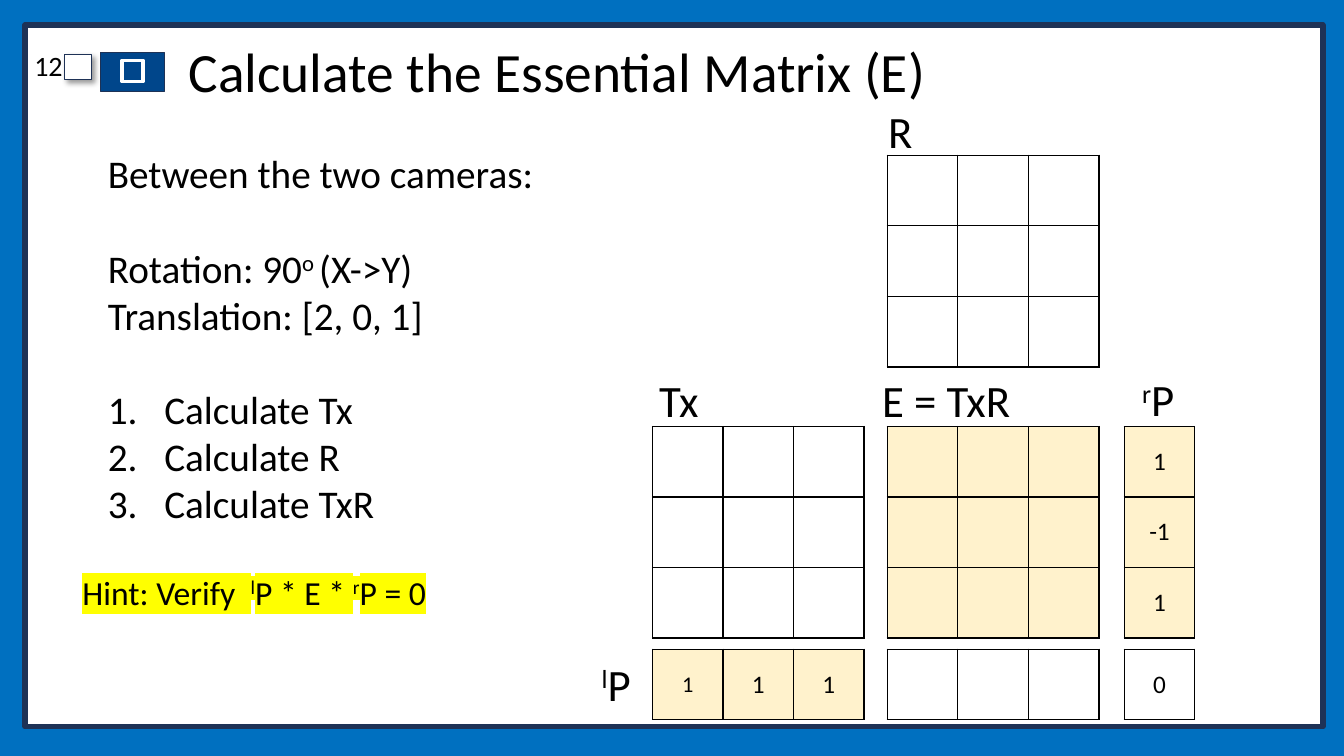
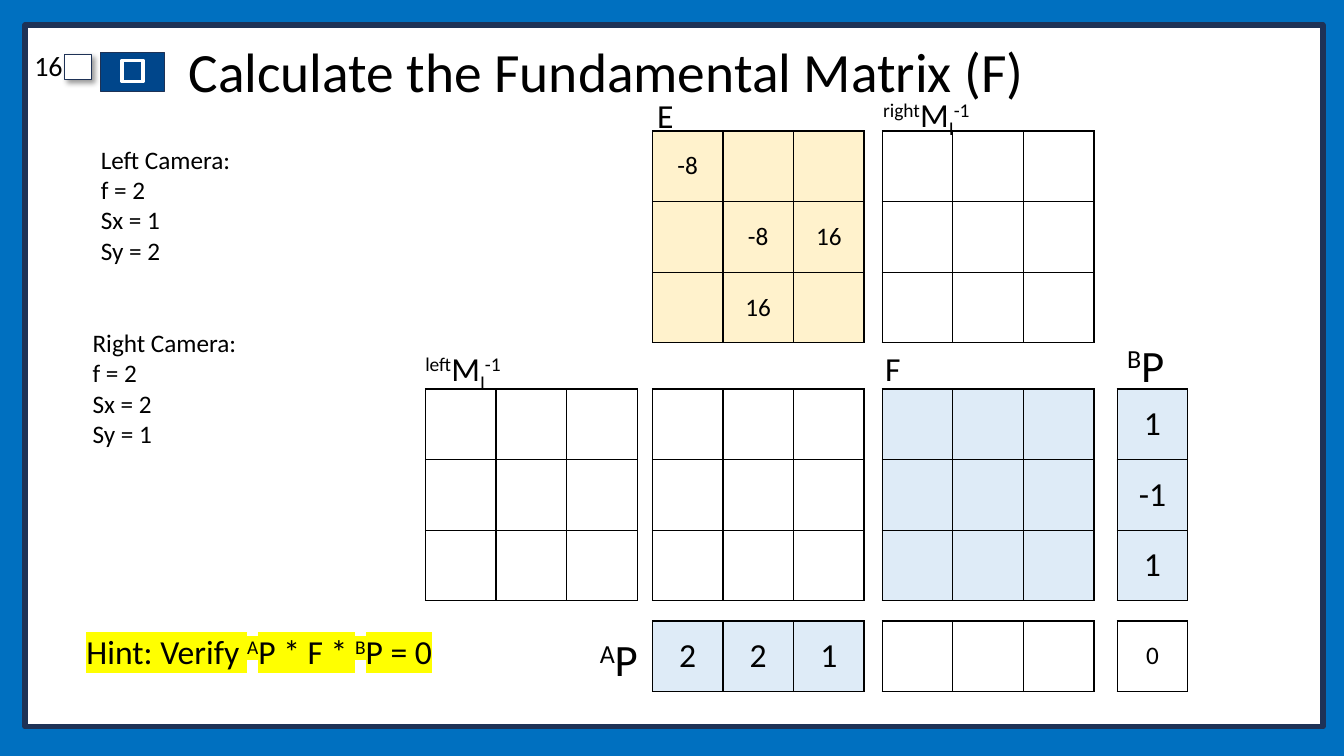
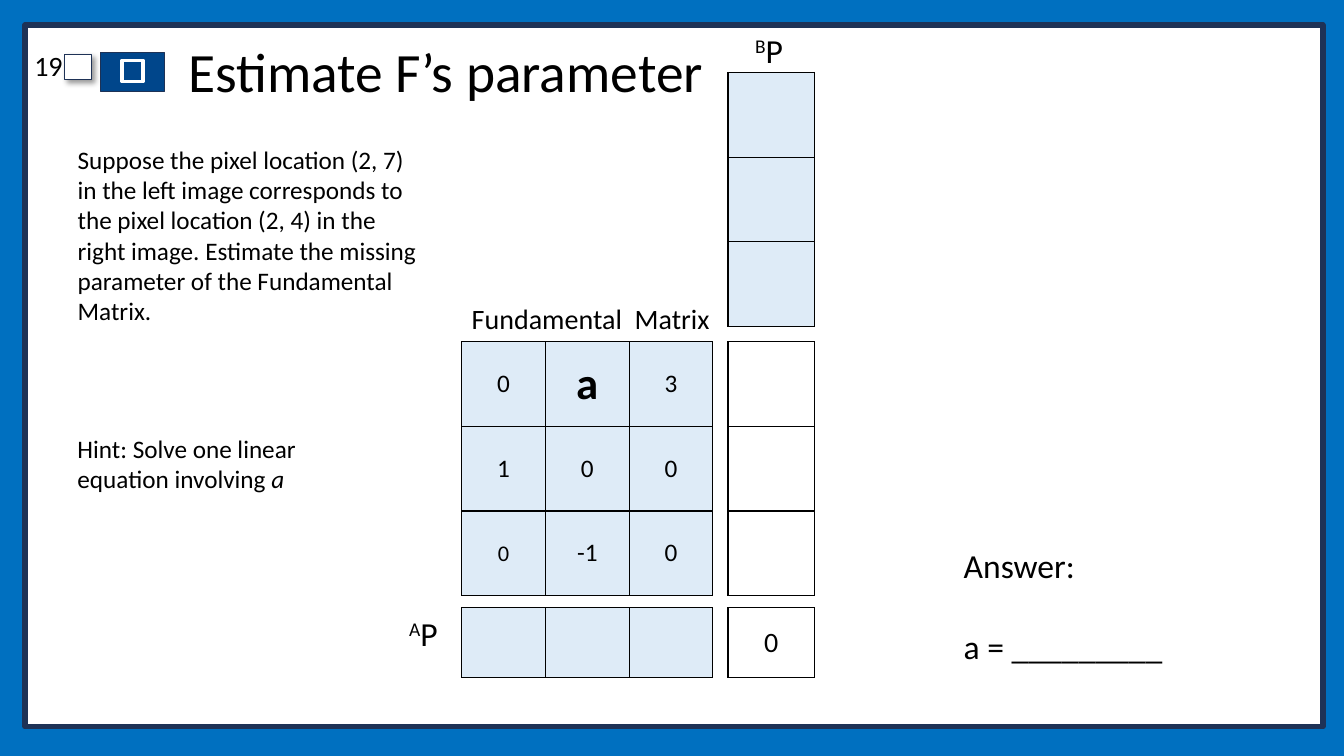
import dataclasses

import pptx
import pptx.dml.color
import pptx.enum.shapes
import pptx.enum.text
import pptx.oxml
import pptx.oxml.ns
import pptx.util

Inches = pptx.util.Inches
Points = pptx.util.Pt
Align = pptx.enum.text.PP_ALIGN
Anchor = pptx.enum.text.MSO_ANCHOR
AutoSize = pptx.enum.text.MSO_AUTO_SIZE
RECTANGLE = pptx.enum.shapes.MSO_SHAPE.RECTANGLE


@dataclasses.dataclass(frozen=True)
class Theme:
    font: str = "Calibri"
    width: float = 13.33
    height: float = 7.5
    backdrop: str = "0070C0"
    paper: str = "FFFFFF"
    navy: str = "1E3256"
    badge: str = "00468B"
    ink: str = "000000"
    cream: str = "FFF2CC"
    sky: str = "DEEBF7"
    marker: str = "FFFF00"
    title: float = 39.6
    symbol: int = 32
    list: int = 28
    large: int = 24
    medium: int = 20
    text: int = 18
    small: int = 16


THEME = Theme()
SUPERSCRIPT, SUBSCRIPT, ITALIC = "30000", "-25000", "italic"


def color(code):
    return pptx.dml.color.RGBColor.from_string(code)


def add_xml(parent, xml):
    """Append one element written in the DrawingML namespace."""
    name, rest = xml[1:].split(" ", 1)
    namespace = pptx.oxml.ns.nsdecls("a")
    parent.append(pptx.oxml.parse_xml(f"<{name} {namespace} {rest}"))


# Text: a paragraph is a string or a list of runs; a run is a string or (string, style)

def write(frame, paragraphs, size=THEME.text, bold=False, align=Align.LEFT,
          spacing=1.0, gaps=(), numbered=(), marker=None):
    """Fill a frame; gaps lists paragraphs set off by a line, numbered those in a list."""
    for index, runs in enumerate(paragraphs):
        paragraph = frame.paragraphs[0] if index == 0 else frame.add_paragraph()
        paragraph.alignment = align
        paragraph.line_spacing = spacing
        paragraph.space_before = Points(round(size * 1.22) if index in gaps else 0)
        properties = paragraph._p.get_or_add_pPr()
        indent = Inches(0.56) if index in numbered else 0
        properties.set("marL", str(indent))
        properties.set("indent", str(-indent))
        if index in numbered:
            add_xml(properties, '<a:buFont typeface="+mj-lt"/>')
            add_xml(properties, '<a:buAutoNum type="arabicPeriod"/>')
        else:
            add_xml(properties, "<a:buNone />")
        for item in [runs] if isinstance(runs, str) else runs:
            text, style = (item, None) if isinstance(item, str) else item
            run = paragraph.add_run()
            run.text = text
            run.font.size = Points(size)
            run.font.bold = bold
            run.font.color.rgb = color(THEME.ink)
            run_properties = run._r.get_or_add_rPr()
            if marker:
                add_xml(run_properties, f'<a:highlight ><a:srgbClr val="{marker}"/></a:highlight>')
            run.font.name = THEME.font
            if style == ITALIC:
                run.font.italic = True
            elif style:
                run_properties.set("baseline", style)


def place(shape, box):
    shape.left, shape.top, shape.width, shape.height = map(Inches, box)


def text_box(slide, box, paragraphs, wrap=False, **formats):
    shape = slide.shapes.add_textbox(*map(Inches, box))
    shape.text_frame.word_wrap = wrap
    shape.text_frame.auto_size = AutoSize.SHAPE_TO_FIT_TEXT
    write(shape.text_frame, paragraphs, **formats)


def body_text(slide, box, paragraphs, inset=True, **formats):
    body = slide.placeholders[1]
    place(body, box)
    frame = body.text_frame
    frame.auto_size = AutoSize.NONE
    frame.vertical_anchor = Anchor.TOP
    if not inset:
        frame.margin_left = frame.margin_top = frame.margin_right = frame.margin_bottom = 0
    write(frame, paragraphs, **formats)


# Shared frame

def rectangle(shapes, box, fill, line, weight):
    shape = shapes.add_shape(RECTANGLE, *map(Inches, box))
    shape.shadow.inherit = False
    shape.fill.solid()
    shape.fill.fore_color.rgb = color(fill)
    shape.line.color.rgb = color(line)
    shape.line.width = Points(weight)
    return shape


def badge(slide, box):
    left, top, width, height = box
    group = slide.shapes.add_group_shape()
    rectangle(group.shapes, box, THEME.badge, THEME.navy, 1)
    inner = (left + width / 3, top + height / 5, width / 3, height * 0.54)
    rectangle(group.shapes, inner, THEME.badge, THEME.paper, 2.5)
    return group


def share_frame(slide):
    """Draw the frame once and hand it to the layout, so that every slide shows it."""
    layout = slide.slide_layout
    fill = layout.slide_master.background.fill
    fill.solid()
    fill.fore_color.rgb = color(THEME.backdrop)
    sheet = rectangle(slide.shapes, (0.25, 0.25, 12.87, 6.96), THEME.paper, THEME.navy, 4)
    mark = badge(slide, (1, 0.52, 0.63, 0.39))
    tab = rectangle(slide.shapes, (0.64, 0.54, 0.27, 0.25), THEME.paper, THEME.navy, 1)
    effects = tab._element.spPr.find(pptx.oxml.ns.qn("a:effectLst"))
    add_xml(effects, f'<a:outerShdw blurRad="{Points(4)}" dist="{Points(3)}" dir="2700000" '
                     'algn="tl" rotWithShape="0"><a:srgbClr val="000000">'
                     '<a:alpha val="40000"/></a:srgbClr></a:outerShdw>')
    tree = layout.shapes._spTree
    for position, shape in enumerate((sheet, mark, tab), start=2):
        tree.insert(position, shape._element)
    for number, properties in enumerate(tree.xpath(".//p:cNvPr"), start=1):
        properties.set("id", str(number))
    place(layout.placeholders[0], (1.77, 0.4, 10.65, 0.68))


def heading(slide, number, title):
    text_box(slide, (0, 0.47, 0.72, 0.45), [number], wrap=True,
             size=THEME.medium, align=Align.RIGHT, spacing=0.9)
    frame = slide.shapes.title.text_frame
    frame.auto_size = AutoSize.NONE
    frame.vertical_anchor = Anchor.MIDDLE
    write(frame, [title], size=THEME.title, spacing=0.9)


# Matrices

def blank(rows, columns):
    return [[""] * columns for _ in range(rows)]


@dataclasses.dataclass
class Board:
    """A grid of matrices: left edges and cell widths by column, tops and cell heights by row."""
    slide: object
    lefts: tuple
    tops: tuple
    widths: tuple = (0.7,) * 4
    heights: tuple = (0.7,) * 3

    def matrix(self, column, row, values, fill=None, size=THEME.text, special=None):
        width, height = self.widths[column], self.heights[row]
        rows, columns = len(values), len(values[0])
        box = (self.lefts[column], self.tops[row], width * columns, height * rows)
        table = self.slide.shapes.add_table(rows, columns, *map(Inches, box)).table
        table.first_row = table.horz_banding = False
        for table_column in table.columns:
            table_column.width = Inches(width)
        for table_row in table.rows:
            table_row.height = Inches(height)
        for y, line in enumerate(values):
            for x, value in enumerate(line):
                formats = {"size": size, **(special or {}).get((y, x), {})}
                self.fill_cell(table.cell(y, x), value, fill, formats)

    def fill_cell(self, cell, value, fill, formats):
        cell.vertical_anchor = Anchor.MIDDLE
        for side in ("lnL", "lnR", "lnT", "lnB"):
            add_xml(cell._tc.get_or_add_tcPr(),
                    f'<a:{side} w="{Points(1)}"><a:solidFill><a:srgbClr val="{THEME.ink}"/>'
                    f"</a:solidFill></a:{side}>")
        if fill:
            cell.fill.solid()
            cell.fill.fore_color.rgb = color(fill)
        else:
            cell.fill.background()
        if value:
            write(cell.text_frame, [value], align=Align.CENTER, **formats)

    def label(self, column, row, runs, offset, width, size):
        """Put a caption at an offset from the corner of a grid place."""
        box = (self.lefts[column] + offset[0], self.tops[row] + offset[1],
               width, size / 60 + 0.1)
        text_box(self.slide, box, [runs], size=size)


def point(name):
    return [(name, SUPERSCRIPT), "P"]


def inverse(side):
    return [(side, SUPERSCRIPT), "M", ("I", SUBSCRIPT), ("-1", SUPERSCRIPT)]


def hint(slide, box, lead, left, matrix, right):
    runs = [lead, (left, SUPERSCRIPT), f"P * {matrix} * ", (right, SUPERSCRIPT), "P = 0"]
    text_box(slide, box, [runs], wrap=True, size=THEME.large, marker=THEME.marker)


# Slides

def essential_slide(slide):
    heading(slide, "12", "Calculate the Essential Matrix (E)")
    body_text(slide, (1.07, 1.48, 4.26, 3.77), [
        "Between the two cameras:",
        ["Rotation: 90", ("o ", SUPERSCRIPT), "(X->Y)"],
        "Translation: [2, 0, 1]",
        "Calculate Tx", "Calculate R", "Calculate TxR",
    ], inset=False, size=THEME.list, gaps=(1, 3), numbered=(3, 4, 5))

    board = Board(slide, lefts=(6.47, 8.8, 11.15), tops=(1.54, 4.23, 6.44))
    board.matrix(1, 0, blank(3, 3))
    board.matrix(0, 1, blank(3, 3))
    board.matrix(1, 1, blank(3, 3), THEME.cream)
    board.matrix(2, 1, [["1"], ["-1"], ["1"]], THEME.cream)
    board.matrix(0, 2, [["1", "1", "1"]], THEME.cream, special={(0, 0): {"size": THEME.small}})
    board.matrix(1, 2, blank(1, 3))
    board.matrix(2, 2, [["0"]])
    for column, row, runs, offset, width in (
            (1, 0, "R", (-0.09, -0.56), 0.45),
            (0, 1, "Tx", (-0.03, -0.58), 0.6),
            (1, 1, "E = TxR", (-0.15, -0.58), 1.49),
            (2, 1, point("r"), (0.08, -0.59), 0.54),
            (0, 2, point("l"), (-0.6, 0.03), 0.5)):
        board.label(column, row, runs, offset, width, THEME.symbol)
    hint(slide, (0.72, 5.62, 4.03, 0.5), "Hint: Verify  ", "l", "E", "r")


def camera(side, sx, sy):
    return [f"{side} Camera:", "f = 2", f"Sx = {sx}", f"Sy = {sy}"]


def fundamental_slide(slide):
    heading(slide, "16", "Calculate the Fundamental Matrix (F)")
    body_text(slide, (0.9, 1.38, 1.51, 1.31), camera("Left", 1, 2))
    text_box(slide, (0.82, 3.2, 1.64, 1.31), camera("Right", 2, 1))

    board = Board(slide, lefts=(4.22, 6.47, 8.75, 11.08), tops=(1.3, 3.86, 6.16))
    board.matrix(1, 0, [["-8", "", ""], ["", "-8", "16"], ["", "16", ""]], THEME.cream)
    board.matrix(2, 0, blank(3, 3))
    board.matrix(0, 1, blank(3, 3))
    board.matrix(1, 1, blank(3, 3))
    board.matrix(2, 1, blank(3, 3), THEME.sky)
    board.matrix(3, 1, [["1"], ["-1"], ["1"]], THEME.sky, THEME.large)
    board.matrix(1, 2, [["2", "2", "1"]], THEME.sky, THEME.large)
    board.matrix(2, 2, blank(1, 3))
    board.matrix(3, 2, [["0"]])
    for column, row, runs, offset, width, size in (
            (1, 0, "E", (-0.05, -0.41), 0.37, THEME.large),
            (2, 0, inverse("right"), (-0.09, -0.42), 1.15, THEME.large),
            (0, 1, inverse("left"), (-0.1, -0.46), 1.03, THEME.large),
            (2, 1, "F", (-0.07, -0.46), 0.36, THEME.large),
            (3, 1, point("B"), (0, -0.56), 0.61, THEME.symbol),
            (1, 2, point("A"), (-0.62, 0.06), 0.61, THEME.symbol)):
        board.label(column, row, runs, offset, width, size)
    hint(slide, (0.76, 6.21, 3.93, 0.5), "Hint: Verify ", "A", "F", "B")


def parameter_slide(slide):
    heading(slide, "19", "Estimate F’s parameter")
    body_text(slide, (0.67, 1.38, 3.61, 1.92), [
        "Suppose the pixel location (2, 7) in the left image corresponds to the pixel "
        "location (2, 4) in the right image. Estimate the missing parameter of the "
        "Fundamental Matrix."])
    text_box(slide, (0.67, 4.25, 2.69, 0.71),
             [["Hint: Solve one linear equation involving ", ("a", ITALIC)]], wrap=True)
    text_box(slide, (9.46, 5.36, 2.2, 1.31), ["Answer:", "a = _________"],
             size=THEME.large, gaps=(1,))

    board = Board(slide, lefts=(4.58, 7.22), tops=(0.72, 3.39, 6.03),
                  widths=(0.83, 0.86), heights=(0.84, 0.84, 0.69))
    board.matrix(1, 0, blank(3, 1), THEME.sky)
    board.matrix(0, 1, [["0", "a", "3"], ["1", "0", "0"], ["0", "-1", "0"]], THEME.sky,
                 special={(0, 1): {"size": THEME.symbol, "bold": True},
                          (2, 0): {"size": THEME.small}})
    board.matrix(1, 1, blank(3, 1))
    board.matrix(0, 2, blank(1, 3), THEME.sky)
    board.matrix(1, 2, [["0"]], size=THEME.medium)
    board.label(0, 1, "Fundamental  Matrix", (0, -0.45), 2.59, THEME.medium)
    board.label(1, 0, point("B"), (0.17, -0.47), 0.5, THEME.large)
    board.label(0, 2, point("A"), (-0.62, 0), 0.51, THEME.large)


def main():
    presentation = pptx.Presentation()
    presentation.slide_width = Inches(THEME.width)
    presentation.slide_height = Inches(THEME.height)
    layout = presentation.slide_layouts[1]
    builders = (essential_slide, fundamental_slide, parameter_slide)
    slides = [presentation.slides.add_slide(layout) for _ in builders]
    share_frame(slides[0])
    for build, slide in zip(builders, slides):
        build(slide)
    presentation.save("out.pptx")


if __name__ == "__main__":
    main()
